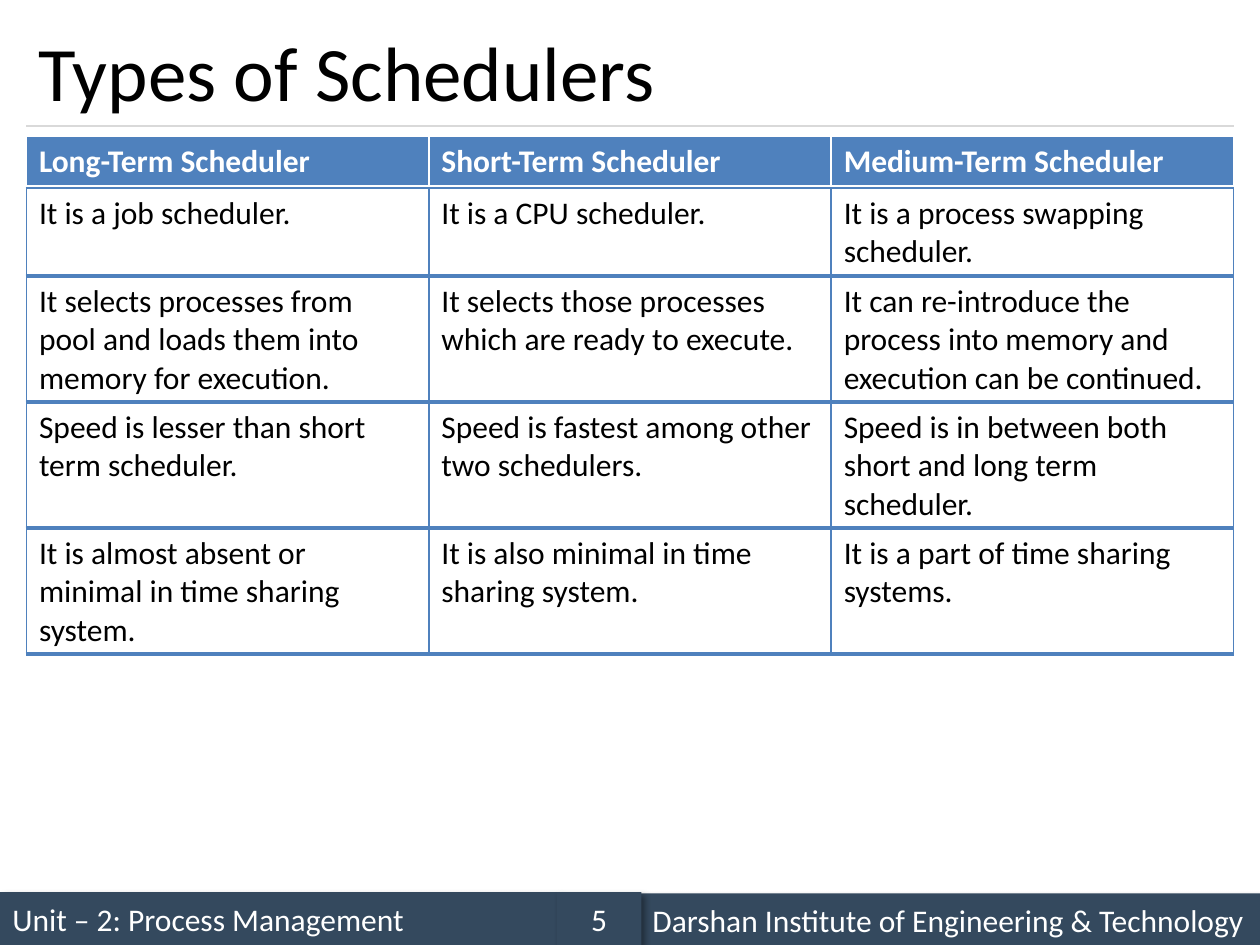
from lxml import etree
from pptx import Presentation
from pptx.dml.color import RGBColor
from pptx.enum import shapes, text
from pptx.oxml import parse_xml
from pptx.oxml.ns import nsdecls, qn
from pptx.util import Inches, Pt

WHITE = RGBColor(0xFF, 0xFF, 0xFF)
BLACK = RGBColor(0, 0, 0)
BLUE = RGBColor(0x4F, 0x81, 0xBD)
NAVY = RGBColor(0x34, 0x49, 0x5E)
GREY = RGBColor(0xD9, 0xD9, 0xD9)
FONT = "Calibri"

TITLE = "Types of Schedulers"
HEADER = ("Long-Term Scheduler", "Short-Term Scheduler", "Medium-Term Scheduler")
# Height of each strip, then its three cells
STRIPS = [
    (0.7, ("It is a job scheduler.",
           "It is a CPU scheduler.",
           "It is a process swapping scheduler.")),
    (1, ("It selects processes from pool and loads them into memory for execution.",
         "It selects those processes which are ready to execute.",
         "It can re-introduce the process into memory and execution can be continued.")),
    (1, ("Speed is lesser than short term scheduler.",
         "Speed is fastest among other two schedulers.",
         "Speed is in between both short and long term scheduler.")),
    (1, ("It is almost absent or minimal in time sharing system.",
         "It is also minimal in time sharing system.",
         "It is a part of time sharing systems.")),
]
# Footer: left, top, width, text, alignment
FOOTER = [
    (0, 7.08, 4.42, "Unit – 2: Process Management", text.PP_ALIGN.LEFT),
    (5.08, 7.09, 4.92, "Darshan Institute of Engineering & Technology", text.PP_ALIGN.LEFT),
    (4.42, 7.08, 0.67, "5", text.PP_ALIGN.CENTER),
]
LEFT, WIDTH = 0.21, 9.58
TABLE_TOP, HEADER_H, FOOTER_H = 1.08, 0.41, 0.42


def write(tf, words, size, color, bold=False, align=text.PP_ALIGN.LEFT):
    tf.text = words
    tf.word_wrap = True
    p = tf.paragraphs[0]
    p.alignment = align
    f = p.runs[0].font
    f.name, f.size, f.bold = FONT, Pt(size), bold
    f.color.rgb = color


def add_shadow(sp):
    sp.shadow.inherit = False
    effects = sp._element.spPr.find(qn("a:effectLst"))
    effects.append(parse_xml(
        f'<a:outerShdw {nsdecls("a")} blurRad="{Pt(4)}" dist="{Pt(3)}" dir="2700000" '
        'algn="tl" rotWithShape="0"><a:srgbClr val="000000">'
        '<a:alpha val="40000"/></a:srgbClr></a:outerShdw>'))


def add_borders(cell, color, bottom):
    tcPr = cell._tc.get_or_add_tcPr()
    for side, width in (("L", 1), ("R", 1), ("T", 1), ("B", bottom)):
        tcPr.append(parse_xml(
            f'<a:ln{side} {nsdecls("a")} w="{Pt(width)}"><a:solidFill>'
            f'<a:srgbClr val="{color}"/></a:solidFill></a:ln{side}>'))


def add_strip(s, top, height, words, header=False):
    table = s.shapes.add_table(1, len(words), Inches(LEFT), Inches(top),
                               Inches(WIDTH), Inches(height)).table
    table.first_row = table.horz_banding = False
    for cell, line in zip(table.rows[0].cells, words):
        write(cell.text_frame, line, 18, WHITE if header else BLACK, header)
        add_borders(cell, WHITE if header else BLUE, 3 if header else 2)
        if header:
            cell.fill.solid()
            cell.fill.fore_color.rgb = BLUE
        else:
            cell.fill.background()


def main():
    prs = Presentation()
    prs.slide_width, prs.slide_height = Inches(10), Inches(7.5)
    s = prs.slides.add_slide(prs.slide_layouts[6])

    # Footer bars
    for left, top, width, words, align in FOOTER:
        sp = s.shapes.add_shape(shapes.MSO_SHAPE.RECTANGLE, Inches(left), Inches(top),
                                Inches(width), Inches(FOOTER_H))
        sp.fill.solid()
        sp.fill.fore_color.rgb = NAVY
        sp.line.fill.background()
        add_shadow(sp)
        write(sp.text_frame, words, 18, WHITE, align=align)
        sp.text_frame.vertical_anchor = text.MSO_ANCHOR.MIDDLE

    # Rule under the title
    rule = s.shapes.add_connector(shapes.MSO_CONNECTOR.STRAIGHT, Inches(LEFT), Inches(1),
                                  Inches(LEFT + WIDTH), Inches(1))
    rule.line.color.rgb = GREY
    rule.line.width = Pt(0.75)
    etree.SubElement(rule._element.spPr, qn("a:effectLst"))

    # Title
    box = s.shapes.add_textbox(Inches(LEFT), Inches(0.12), Inches(WIDTH), Inches(0.88))
    write(box.text_frame, TITLE, 44, BLACK)
    box.text_frame.vertical_anchor = text.MSO_ANCHOR.MIDDLE

    # Comparison: one single-row table per strip, stacked
    add_strip(s, TABLE_TOP, HEADER_H, HEADER, header=True)
    top = TABLE_TOP + HEADER_H
    for height, words in STRIPS:
        add_strip(s, top, height, words)
        top += height

    prs.save("out.pptx")


if __name__ == "__main__":
    main()
